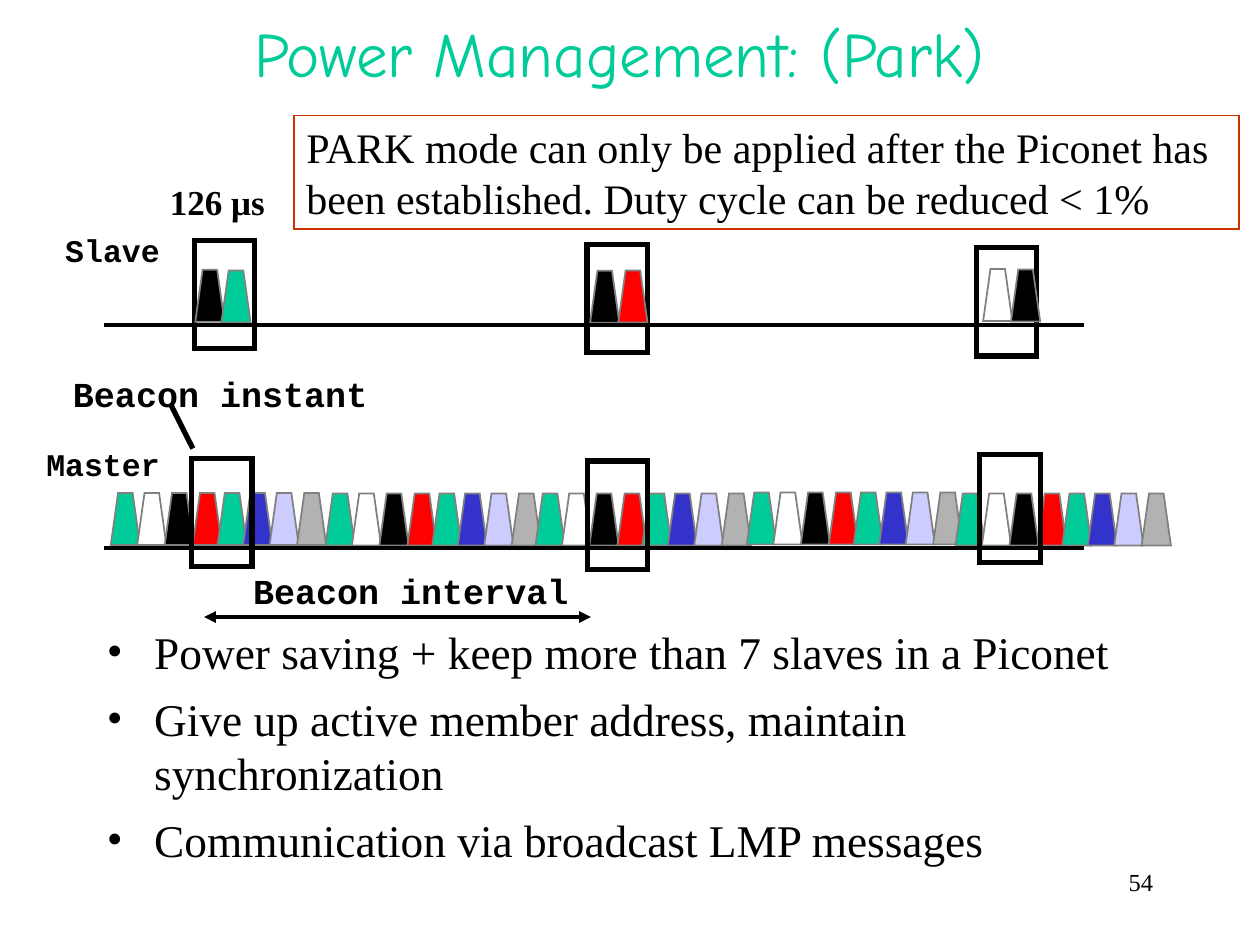
from lxml.etree import SubElement
from pptx import Presentation
from pptx.dml.color import RGBColor
from pptx.enum.shapes import MSO_CONNECTOR as Connector, MSO_SHAPE as Shape
from pptx.enum.text import MSO_ANCHOR as Anchor, MSO_AUTO_SIZE as AutoSize, PP_ALIGN as Align
from pptx.oxml.ns import qn
from pptx.util import Pt

COLORS = {
    "black": "000000", "white": "FFFFFF", "green": "00CC99", "red": "FF0000",
    "blue": "3333CC", "lilac": "CCCCFF", "silver": "B2B2B2",
    "outline": "808080", "note": "CC3300",
}
SERIF, MONO, TITLE = "Times New Roman", "Courier New", "Comic Neue"

SLOT_COLORS = ["green", "white", "black", "red", "green", "blue", "lilac", "silver"]
SLOT_OFFSETS = [0, 15.1, 30.8, 46.8, 61, 75.6, 90.7, 106.4]
SLOT_WIDTH, SLOT_HEIGHT = 16.7, 29.7
CYCLES = [(63.3, 281.8), (186, 282), (306, 282), (426.8, 281.4), (546, 282)]
SLAVE_SLOTS = [
    (111.6, 154.2, "black"), (126.5, 154.6, "green"),
    (337.2, 154.8, "black"), (353.3, 154.6, "red"),
    (561.8, 153.8, "white"), (577.7, 154, "black"),
]
SLAVE_FRAMES = [(111, 137.4), (335.4, 139.7), (557.9, 141.6)]
MASTER_FRAMES = [(335.5, 263.5), (559.8, 259.7), (109.4, 262)]
BULLETS = [
    "Power saving + keep more than 7 slaves in a Piconet",
    "Give up active member address, maintain synchronization",
    "Communication via broadcast LMP messages",
]


def color(name):
    """Return the named colour."""
    return RGBColor.from_string(COLORS[name])


def style_text(shape, text, size, font, ink="black", bold=False,
               align=Align.LEFT, anchor=Anchor.TOP):
    """Fill a shape with text in one uniform style."""
    frame = shape.text_frame
    frame.text = text
    frame.word_wrap = True
    frame.vertical_anchor = anchor
    for paragraph in frame.paragraphs:
        paragraph.alignment = align
        for run in paragraph.runs:
            run.font.size = Pt(size)
            run.font.name = font
            run.font.bold = bold
            run.font.color.rgb = color(ink)


def add_text(slide, box, text, size, font, **style):
    """Add a text box at (left, top, width, height)."""
    shape = slide.shapes.add_textbox(*map(Pt, box))
    style_text(shape, text, size, font, **style)
    return shape


def add_label(slide, box, text, size):
    """Add a bold one-line caption that grows with its text."""
    shape = add_text(slide, box, text, size, MONO, bold=True)
    shape.text_frame.word_wrap = False
    shape.text_frame.auto_size = AutoSize.SHAPE_TO_FIT_TEXT


def add_box(slide, kind, box, line, weight, fill=None):
    """Add an outlined preset shape, hollow unless a fill is named."""
    shape = slide.shapes.add_shape(kind, *map(Pt, box))
    shape.shadow.inherit = False
    shape.line.color.rgb = color(line)
    shape.line.width = Pt(weight)
    SubElement(shape._element.spPr.find(qn("a:ln")), qn("a:miter"), lim="800000")
    if fill:
        shape.fill.solid()
        shape.fill.fore_color.rgb = color(fill)
    else:
        shape.fill.background()
    return shape


def add_slot(slide, left, top, fill):
    """Add one time slot."""
    add_box(slide, Shape.TRAPEZOID, (left, top, SLOT_WIDTH, SLOT_HEIGHT),
            "outline", 1, fill)


def add_frames(slide, corners):
    """Add the heavy frames that mark the beacon slots."""
    for left, top in corners:
        add_box(slide, Shape.RECTANGLE, (left, top, 34.6, 61.9), "black", 3)


def add_line(slide, start, end, weight, arrows=False):
    """Add a straight black line, with arrowheads at both ends on request."""
    line = slide.shapes.add_connector(Connector.STRAIGHT, *map(Pt, start + end))
    line.line.color.rgb = color("black")
    line.line.width = Pt(weight)
    properties = line._element.spPr
    if arrows:
        for tag in ("a:headEnd", "a:tailEnd"):
            SubElement(properties.find(qn("a:ln")), qn(tag), type="triangle")
    SubElement(properties, qn("a:effectLst"))


def add_bullets(slide, box, items):
    """Add the bulleted list."""
    shape = add_text(slide, box, "\n".join(items), 25.9, SERIF)
    for paragraph in shape.text_frame.paragraphs:
        paragraph.space_before = Pt(7)
        properties = paragraph._p.get_or_add_pPr()
        properties.set("marL", str(Pt(27)))
        properties.set("indent", str(-Pt(27)))
        SubElement(properties, qn("a:buFont"), typeface=SERIF)
        SubElement(properties, qn("a:buChar"), char="•")


def add_slave_row(slide):
    """Add the slave's timeline."""
    add_label(slide, (30.2, 128.2, 68.4, 28.8), "Slave", 18)
    add_frames(slide, SLAVE_FRAMES)
    for left, top, fill in SLAVE_SLOTS:
        add_slot(slide, left, top, fill)
    add_line(slide, (59.3, 185.8), (619.7, 185.8), 2.25)


def add_master_row(slide):
    """Add the master's timeline with its repeating slot cycle."""
    add_label(slide, (19.4, 250.6, 79.2, 28.8), "Master", 18)
    for left, top in CYCLES:
        for offset, fill in zip(SLOT_OFFSETS, SLOT_COLORS):
            add_slot(slide, left + offset, top, fill)
    add_line(slide, (59.3, 313.2), (619.7, 313.2), 2.25)
    add_frames(slide, MASTER_FRAMES)


def add_beacon_labels(slide):
    """Add the beacon captions with their pointer and span arrow."""
    add_label(slide, (34.6, 209.5, 184, 31.7), "Beacon instant", 20)
    add_line(slide, (97.9, 231.8), (110.2, 256.3), 3)
    add_label(slide, (137.5, 321.8, 198, 31.7), "Beacon interval", 20)
    add_line(slide, (116.6, 352.6), (337.7, 352.6), 2.25, arrows=True)


def main():
    """Build and save the slide."""
    presentation = Presentation()
    presentation.slide_width, presentation.slide_height = Pt(720), Pt(540)
    slide = presentation.slides.add_slide(presentation.slide_layouts[6])

    add_text(slide, (41.8, 0, 624.2, 59.8), "Power Management: (Park)", 36, TITLE,
             ink="green", align=Align.CENTER, anchor=Anchor.MIDDLE)
    add_beacon_labels(slide)
    add_bullets(slide, (54, 353.2, 611.3, 186.8), BULLETS)
    add_master_row(slide)
    add_slave_row(slide)
    note = add_box(slide, Shape.RECTANGLE, (168, 66.2, 540, 64.8), "note", 0.75)
    style_text(note, "PARK mode can only be applied after the Piconet has "
               "been established. Duty cycle can be reduced < 1%", 24, SERIF)
    add_text(slide, (90, 99.8, 77.8, 32.4), "126 μs", 20, SERIF, bold=True)
    add_text(slide, (516.2, 491.8, 149.8, 36), "54", 14, SERIF, align=Align.RIGHT)

    presentation.save("out.pptx")


main()
